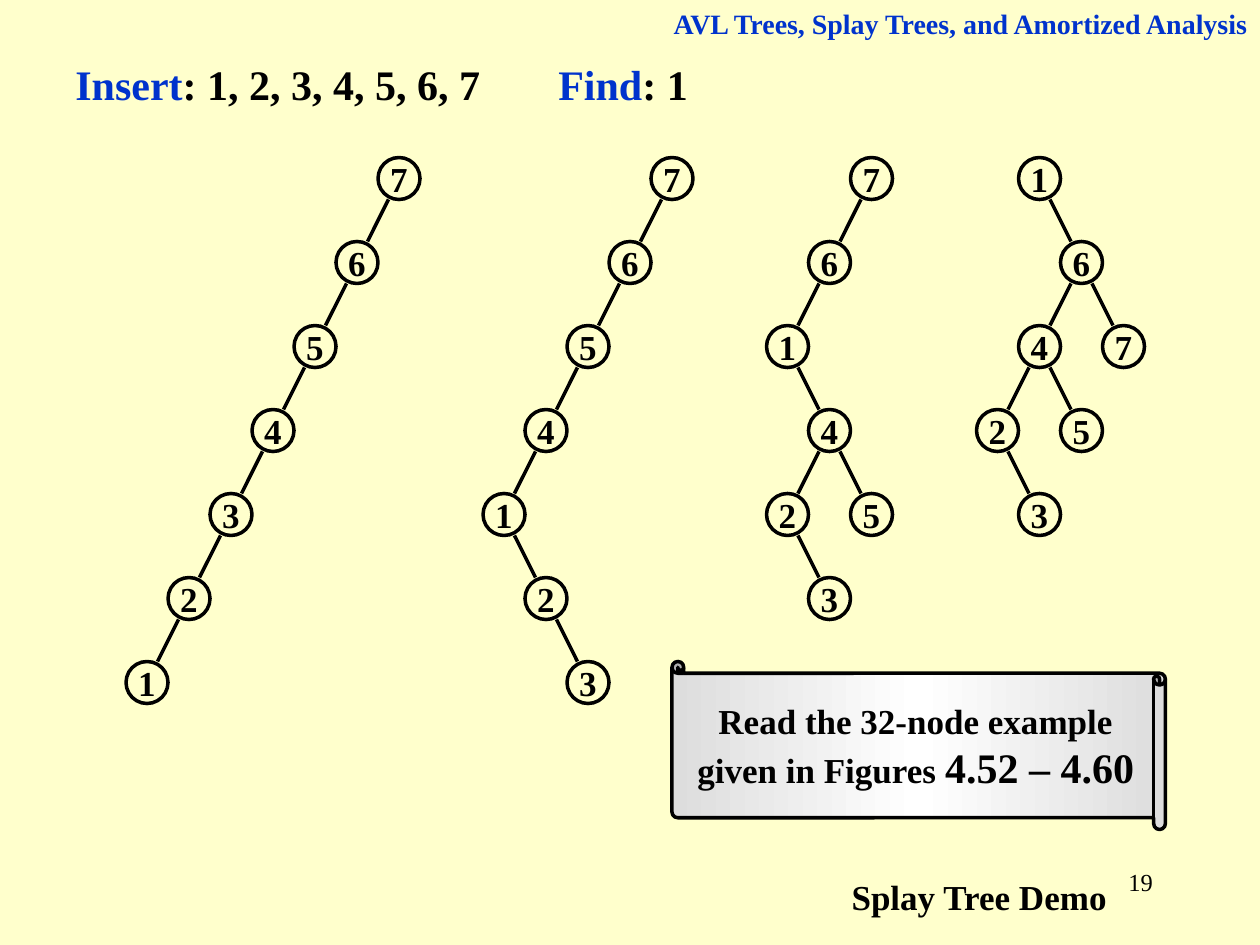
from dataclasses import dataclass
from typing import Optional

from lxml.etree import SubElement
from pptx import Presentation
from pptx.dml.color import RGBColor
from pptx.enum.shapes import MSO_CONNECTOR, MSO_SHAPE
from pptx.enum.text import MSO_ANCHOR, MSO_AUTO_SIZE, PP_ALIGN
from pptx.oxml.ns import qn
from pptx.util import Inches, Pt

FONT = "Times New Roman"
BLACK, BLUE, CREAM = "000000", "0033CC", "FFFFCC"
GRAY, WHITE = "DDDDDD", "FFFFFF"

CELL = Inches(1) / 6  # the slide is a grid of 60 columns and 45 rows
NODE_SIZE = 2
COLUMN_STEP, ROW_STEP = 2, 4
TOP_ROW = 7.5


@dataclass
class Run:
    text: str
    size: int
    color: str = BLACK
    bold: bool = True


@dataclass
class Node:
    key: int
    left: Optional["Node"] = None
    right: Optional["Node"] = None


@dataclass
class Tree:
    column: float
    root: Node


@dataclass
class Label:
    column: float
    row: float
    columns: float
    rows: float
    runs: list[Run]
    align: PP_ALIGN = PP_ALIGN.LEFT
    wrap: bool = True


def left_chain(keys: list[int], end: Node) -> Node:
    """Hang each key as the left child of the one before, finishing with end."""
    for key in reversed(keys):
        end = Node(key, left=end)
    return end


TREES = [
    Tree(18, left_chain([7, 6, 5, 4, 3, 2], Node(1))),
    Tree(31, left_chain([7, 6, 5, 4], Node(1, right=Node(2, right=Node(3))))),
    Tree(40.5, left_chain([7, 6], Node(1, right=Node(4, Node(2, right=Node(3)), Node(5))))),
    Tree(48.5, Node(1, right=Node(6, Node(4, Node(2, right=Node(3)), Node(5)), Node(7)))),
]

HEADER = Label(29.5, 0, 30.5, 2.2,
               [Run("AVL Trees, Splay Trees, and Amortized Analysis", 16, BLUE)], PP_ALIGN.RIGHT)
LABELS = [
    Label(3, 2.5, 24.5, 3, [Run("Insert", 24, BLUE), Run(": 1, 2, 3, 4, 5, 6, 7", 24)]),
    Label(26, 2.5, 8.5, 3, [Run("Find", 24, BLUE), Run(": 1", 24)]),
    Label(43, 41, 12.5, 3, [Run("19", 14, bold=False)], PP_ALIGN.RIGHT),
    Label(39.96, 41.4, 13.5, 2.65, [Run("Splay Tree Demo", 20)], wrap=False),
]
NOTE = Label(32, 31.5, 23.5, 8,
             [Run("Read the 32-node example given in Figures ", 20), Run("4.52 – 4.60", 24)],
             PP_ALIGN.CENTER)


def rgb(color: str) -> RGBColor:
    return RGBColor.from_string(color)


def cells(*counts: float) -> list[int]:
    return [round(count * CELL) for count in counts]


def write(shape, runs: list[Run], align: PP_ALIGN, wrap: bool = True,
          anchor: MSO_ANCHOR = MSO_ANCHOR.TOP) -> None:
    frame = shape.text_frame
    frame.word_wrap = wrap
    frame.auto_size = MSO_AUTO_SIZE.NONE
    frame.vertical_anchor = anchor
    paragraph = frame.paragraphs[0]
    paragraph.alignment = align
    for item in runs:
        run = paragraph.add_run()
        run.text = item.text
        run.font.name = FONT
        run.font.size = Pt(item.size)
        run.font.bold = item.bold
        run.font.color.rgb = rgb(item.color)


def outline(shape) -> None:
    shape.line.color.rgb = rgb(BLACK)
    shape.line.width = Pt(2)


def draw_label(slide, label: Label) -> None:
    box = slide.shapes.add_textbox(*cells(label.column, label.row, label.columns, label.rows))
    write(box, label.runs, label.align, label.wrap)


def draw_header(slide, label: Label) -> None:
    title = slide.shapes.title
    title.left, title.top, title.width, title.height = cells(
        label.column, label.row, label.columns, label.rows)
    write(title, label.runs, label.align)


def draw_edge(shapes, column: float, row: float, side: int) -> None:
    """Join a node to its child: side is -1 for left and 1 for right."""
    start = column + NODE_SIZE / 2 + side * 0.5
    bottom = row + NODE_SIZE
    edge = shapes.add_connector(
        MSO_CONNECTOR.STRAIGHT, *cells(start, bottom, start + side, row + ROW_STEP))
    outline(edge)
    SubElement(edge._element.spPr, qn("a:effectLst"))


def draw_node(shapes, node: Node, column: float, row: float) -> None:
    circle = shapes.add_shape(MSO_SHAPE.OVAL, *cells(column, row, NODE_SIZE, NODE_SIZE))
    circle.shadow.inherit = False
    circle.fill.background()
    outline(circle)
    write(circle, [Run(str(node.key), 20)], PP_ALIGN.CENTER, False, MSO_ANCHOR.MIDDLE)
    for side, child in ((-1, node.left), (1, node.right)):
        if child:
            draw_edge(shapes, column, row, side)
            draw_node(shapes, child, column + side * COLUMN_STEP, row + ROW_STEP)


def draw_note(slide, note: Label) -> None:
    scroll = slide.shapes.add_shape(
        MSO_SHAPE.HORIZONTAL_SCROLL, *cells(note.column, note.row, note.columns, note.rows))
    scroll.adjustments[0] = 0.07
    scroll.shadow.inherit = False
    scroll._element.spPr.find(qn("a:xfrm")).set("flipH", "1")
    scroll.fill.gradient()
    scroll.fill.gradient_angle = 0
    stops = scroll._element.spPr.find(qn("a:gradFill")).find(qn("a:gsLst"))
    for stop in list(stops):
        stops.remove(stop)
    for percent, color in ((0, GRAY), (50, WHITE), (100, GRAY)):
        stop = SubElement(stops, qn("a:gs"), pos=str(percent * 1000))
        SubElement(stop, qn("a:srgbClr"), val=color)
    outline(scroll)
    write(scroll, note.runs, note.align, anchor=MSO_ANCHOR.MIDDLE)


def main() -> None:
    presentation = Presentation()
    presentation.slide_width, presentation.slide_height = Inches(10), Inches(7.5)
    slide = presentation.slides.add_slide(presentation.slide_layouts.get_by_name("Title Only"))
    slide.background.fill.solid()
    slide.background.fill.fore_color.rgb = rgb(CREAM)

    draw_header(slide, HEADER)
    for label in LABELS:
        draw_label(slide, label)
    for tree in TREES:
        draw_node(slide.shapes.add_group_shape().shapes, tree.root, tree.column, TOP_ROW)
    draw_note(slide, NOTE)
    presentation.save("out.pptx")


if __name__ == "__main__":
    main()
